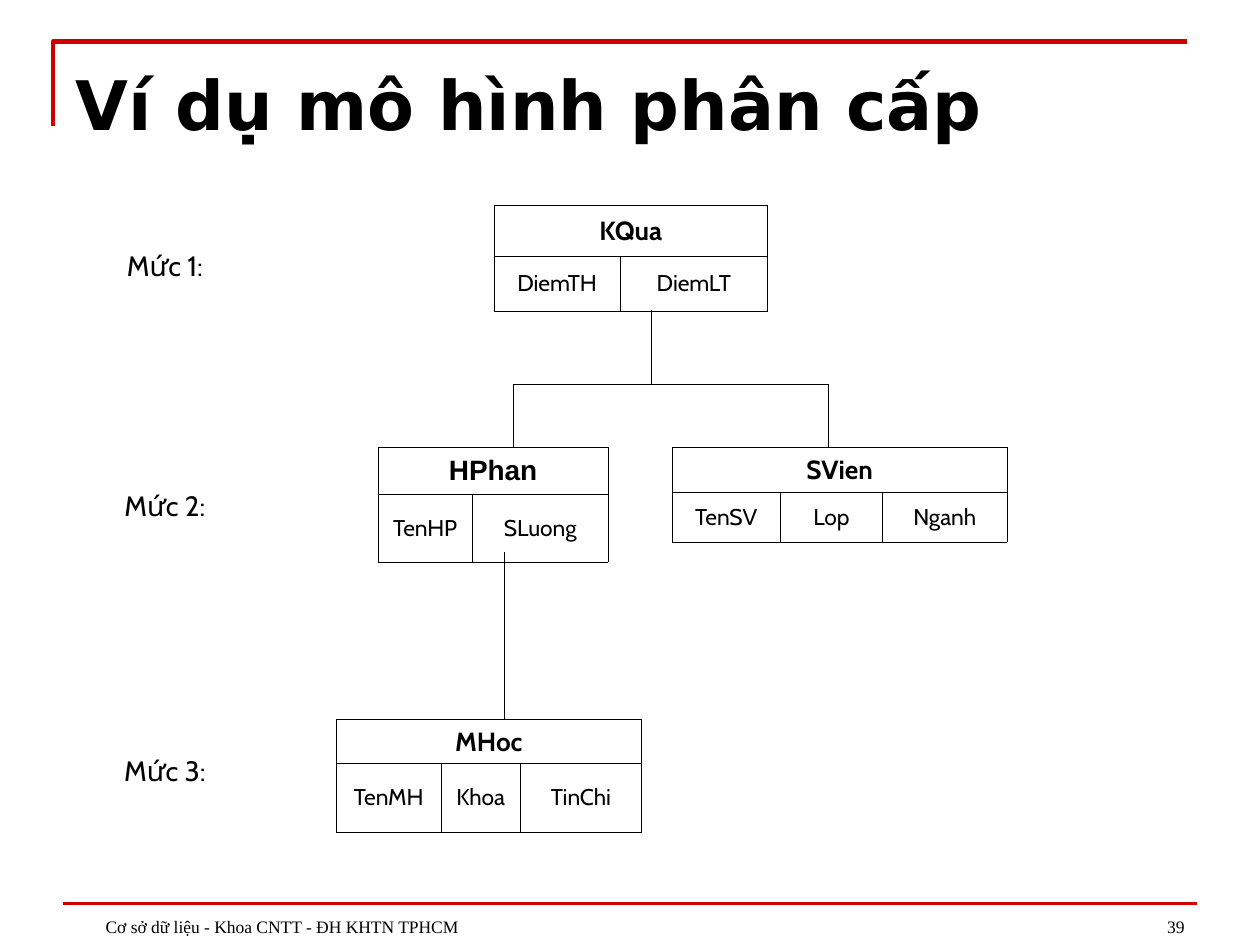
from dataclasses import dataclass

from lxml.etree import SubElement
from pptx import Presentation
from pptx.dml.color import RGBColor
from pptx.enum.shapes import MSO_CONNECTOR
from pptx.enum.text import MSO_ANCHOR, MSO_AUTO_SIZE, PP_ALIGN
from pptx.oxml import parse_xml
from pptx.oxml.ns import nsdecls, qn
from pptx.slide import Slide
from pptx.text.text import TextFrame
from pptx.util import Cm, Pt


@dataclass(frozen=True)
class Theme:
    ink: RGBColor = RGBColor(0x00, 0x00, 0x00)
    accent: RGBColor = RGBColor(0xCC, 0x00, 0x00)
    title_font: str = "DejaVu Sans"
    body_font: str = "Cabin"
    footer_font: str = "Times New Roman"
    title: float = 39
    label: float = 16
    record: float = 15
    field: float = 13
    footer: float = 10
    outer_border: float = 0.23
    inner_border: float = 0.45


THEME = Theme()


@dataclass(frozen=True)
class Record:
    name: str
    fields: tuple[str, ...]
    left: float
    top: float
    widths: tuple[float, ...]
    heights: tuple[float, float]
    name_font: str = THEME.body_font
    name_size: float = THEME.record


@dataclass(frozen=True)
class Line:
    x1: float
    y1: float
    x2: float
    y2: float
    width: float = 0.5
    color: RGBColor = THEME.ink


@dataclass(frozen=True)
class Label:
    text: str
    top: float


@dataclass(frozen=True)
class Footer:
    text: str
    left: float
    width: float
    align: PP_ALIGN


RECORDS = (
    Record("KQua", ("DiemTH", "DiemLT"), 9.96, 4.14, (2.54, 2.97), (1.02, 1.12)),
    Record("HPhan", ("TenHP", "SLuong"), 7.62, 9.02, (1.9, 2.74), (0.94, 1.37), "Arial", 16),
    Record("SVien", ("TenSV", "Lop", "Nganh"), 13.55, 9.02, (2.18, 2.06, 2.51), (0.91, 0.99)),
    Record("MHoc", ("TenMH", "Khoa", "TinChi"), 6.78, 14.5, (2.11, 1.6, 2.44), (0.89, 1.37)),
)
BRANCH_Y, LEVEL_2_Y = 7.75, 9.02
BRANCH_LEFT, BRANCH_RIGHT = 10.36, 16.71
LINES = (
    Line(13.13, 6.25, 13.13, BRANCH_Y),
    Line(BRANCH_LEFT, BRANCH_Y, BRANCH_RIGHT, BRANCH_Y, 1),
    Line(BRANCH_LEFT, BRANCH_Y, BRANCH_LEFT, LEVEL_2_Y),
    Line(BRANCH_RIGHT, BRANCH_Y, BRANCH_RIGHT, LEVEL_2_Y),
    Line(10.16, 11.13, 10.16, 14.5),
    Line(1.27, 18.21, 24.13, 18.21, 2, THEME.accent),
)
LABELS = (Label("Mức 1:", 4.88), Label("Mức 2:", 9.73), Label("Mức 3:", 15.06))
FOOTERS = (
    Footer("Cơ sở dữ liệu - Khoa CNTT - ĐH KHTN TPHCM", 1.27, 15.44, PP_ALIGN.LEFT),
    Footer("39", 18.21, 5.92, PP_ALIGN.RIGHT),
)


def write(tf: TextFrame, text: str, font: str, size: float, align: PP_ALIGN,
          bold: bool = False) -> None:
    p = tf.paragraphs[0]
    p.alignment = align
    r = p.add_run()
    r.text = text
    r.font.name = font
    r.font.size = Pt(size)
    r.font.bold = bold
    r.font.color.rgb = THEME.ink


def add_title(slide: Slide, text: str) -> None:
    sp = slide.shapes.title
    sp.left, sp.top, sp.width, sp.height = Cm(1.27), Cm(0.99), Cm(22.86), Cm(2.18)
    tf = sp.text_frame
    tf.auto_size = MSO_AUTO_SIZE.NONE
    tf.vertical_anchor = MSO_ANCHOR.MIDDLE
    write(tf, text, THEME.title_font, THEME.title, PP_ALIGN.LEFT, bold=True)


def add_corner_frame(slide: Slide) -> None:
    fb = slide.shapes.build_freeform(Cm(1.07), Cm(2.54))
    fb.add_line_segments([(Cm(1.07), Cm(0.84)), (Cm(23.93), Cm(0.84))], close=False)
    sp = fb.convert_to_shape()
    sp.shadow.inherit = False
    sp.fill.background()
    sp.line.color.rgb = THEME.accent
    sp.line.width = Pt(2.5)


def add_line(slide: Slide, line: Line) -> None:
    ends = (Cm(v) for v in (line.x1, line.y1, line.x2, line.y2))
    cx = slide.shapes.add_connector(MSO_CONNECTOR.STRAIGHT, *ends)
    cx.line.color.rgb = line.color
    cx.line.width = Pt(line.width)
    SubElement(cx._element.spPr, qn("a:effectLst"))


def set_borders(cell, widths: dict[str, float]) -> None:
    """Draw the cell's borders; widths must run in the order L, R, T, B."""
    tc_pr = cell._tc.get_or_add_tcPr()
    for i, (side, width) in enumerate(widths.items()):
        tc_pr.insert(i, parse_xml(
            f'<a:ln{side} {nsdecls("a")} w="{Pt(width)}"><a:solidFill>'
            f'<a:srgbClr val="{THEME.ink}"/></a:solidFill></a:ln{side}>'))


def add_record(slide: Slide, rec: Record) -> None:
    """Draw a record type as a name row over a row of fields."""
    n = len(rec.fields)
    table = slide.shapes.add_table(2, n, Cm(rec.left), Cm(rec.top),
                                   Cm(sum(rec.widths)), Cm(sum(rec.heights))).table
    table.first_row = table.horz_banding = False
    for column, width in zip(table.columns, rec.widths):
        column.width = Cm(width)
    for row, height in zip(table.rows, rec.heights):
        row.height = Cm(height)
    table.cell(0, 0).merge(table.cell(0, n - 1))

    outer, inner = THEME.outer_border, THEME.inner_border
    for i in range(2):
        for j in range(n):
            cell = table.cell(i, j)
            cell.fill.background()
            cell.vertical_anchor = MSO_ANCHOR.MIDDLE
            set_borders(cell, {
                "L": outer if j == 0 else inner,
                "R": outer if j == n - 1 else inner,
                "T": outer if i == 0 else inner,
                "B": inner if i == 0 else outer,
            })
    write(table.cell(0, 0).text_frame, rec.name, rec.name_font, rec.name_size,
          PP_ALIGN.CENTER, bold=True)
    for j, field in enumerate(rec.fields):
        write(table.cell(1, j).text_frame, field, THEME.body_font, THEME.field,
              PP_ALIGN.CENTER)


def add_label(slide: Slide, label: Label) -> None:
    tf = slide.shapes.add_textbox(Cm(2.18), Cm(label.top), Cm(2.29), Cm(0.94)).text_frame
    tf.word_wrap = False
    tf.auto_size = MSO_AUTO_SIZE.SHAPE_TO_FIT_TEXT
    write(tf, label.text, THEME.body_font, THEME.label, PP_ALIGN.CENTER)


def add_footer(slide: Slide, footer: Footer) -> None:
    tf = slide.shapes.add_textbox(Cm(footer.left), Cm(17.75), Cm(footer.width),
                                  Cm(1.27)).text_frame
    tf.word_wrap = True
    tf.vertical_anchor = MSO_ANCHOR.BOTTOM
    write(tf, footer.text, THEME.footer_font, THEME.footer, footer.align)
    tf.paragraphs[0]._p.get_or_add_pPr().set("marL", str(Cm(0.61)))


def main() -> None:
    prs = Presentation()
    prs.slide_width, prs.slide_height = Cm(25.4), Cm(19.05)
    slide = prs.slides.add_slide(prs.slide_layouts[5])
    add_title(slide, "Ví dụ mô hình phân cấp")
    add_corner_frame(slide)
    for draw, items in ((add_record, RECORDS), (add_line, LINES),
                        (add_label, LABELS), (add_footer, FOOTERS)):
        for item in items:
            draw(slide, item)
    prs.save("out.pptx")


if __name__ == "__main__":
    main()
